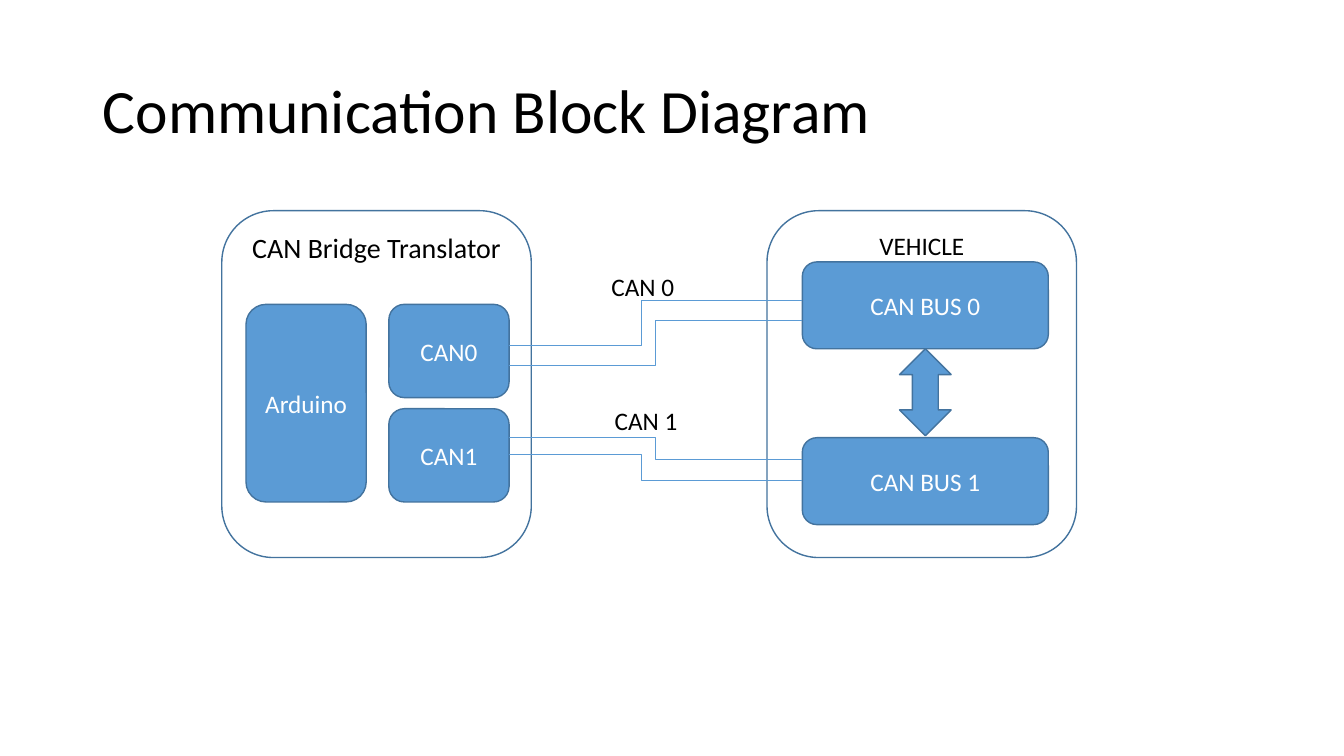
from pptx import Presentation
from pptx.dml.color import RGBColor
from pptx.enum.shapes import MSO_CONNECTOR, MSO_SHAPE
from pptx.enum.text import MSO_ANCHOR, MSO_AUTO_SIZE, PP_ALIGN
from pptx.oxml.ns import qn
from pptx.util import Cm, Pt
from lxml.etree import SubElement

COLORS = {"block": "5B9BD5", "border": "43739E", "ink": "000000", "light": "FFFFFF"}


def color(name):
    return RGBColor.from_string(COLORS[name])


class Diagram:
    font = "Calibri"

    def __init__(self, slide):
        self.shapes = slide.shapes

    def set_text(self, shape, text, size, ink, anchor, align):
        frame = shape.text_frame
        frame.text = text
        frame.vertical_anchor = anchor
        paragraph = frame.paragraphs[0]
        paragraph.alignment = align
        for run in paragraph.runs:
            run.font.name = self.font
            run.font.size = Pt(size)
            run.font.color.rgb = color(ink)

    def label(self, text, left, top, width, height, size=18, wrap=False,
              anchor=MSO_ANCHOR.TOP):
        box = self.shapes.add_textbox(Cm(left), Cm(top), Cm(width), Cm(height))
        self.set_text(box, text, size, "ink", anchor, PP_ALIGN.LEFT)
        box.text_frame.word_wrap = wrap
        box.text_frame.auto_size = MSO_AUTO_SIZE.NONE if wrap else MSO_AUTO_SIZE.SHAPE_TO_FIT_TEXT
        return box

    def outlined(self, kind, left, top, width, height):
        shape = self.shapes.add_shape(kind, Cm(left), Cm(top), Cm(width), Cm(height))
        shape.shadow.inherit = False
        shape.line.color.rgb = color("border")
        shape.line.width = Pt(1)
        return shape

    def filled(self, kind, left, top, width, height):
        shape = self.outlined(kind, left, top, width, height)
        shape.fill.solid()
        shape.fill.fore_color.rgb = color("block")
        return shape

    def block(self, text, left, top, width, height):
        shape = self.filled(MSO_SHAPE.ROUNDED_RECTANGLE, left, top, width, height)
        self.set_text(shape, text, 18, "light", MSO_ANCHOR.MIDDLE, PP_ALIGN.CENTER)

    def group_frame(self, text, left, top, width, height, size):
        shape = self.outlined(MSO_SHAPE.ROUNDED_RECTANGLE, left, top, width, height)
        shape.fill.background()
        self.set_text(shape, text, size, "ink", MSO_ANCHOR.TOP, PP_ALIGN.CENTER)

    def wire(self, start_x, start_y, end_x, end_y, bend):
        wire = self.shapes.add_connector(
            MSO_CONNECTOR.ELBOW, Cm(start_x), Cm(start_y), Cm(end_x), Cm(end_y))
        wire.line.color.rgb = color("block")
        wire.line.width = Pt(0.5)
        properties = wire.element.spPr
        SubElement(properties, qn("a:effectLst"))
        adjustments = properties.find(qn("a:prstGeom")).find(qn("a:avLst"))
        SubElement(adjustments, qn("a:gd"), name="adj1", fmla=f"val {round(bend * 100000)}")


def main():
    presentation = Presentation()
    presentation.slide_width, presentation.slide_height = Cm(33.87), Cm(19.05)
    diagram = Diagram(presentation.slides.add_slide(presentation.slide_layouts[6]))

    # Title
    title = diagram.label("Communication Block Diagram", 2.34, 1.02, 29.21, 3.68,
                          size=44, wrap=True, anchor=MSO_ANCHOR.MIDDLE)
    title.text_frame.paragraphs[0].line_spacing = 0.9

    # Bridge translator with its controller and two ports
    frame_top, frame_width, frame_height = 5.31, 7.8, 8.74
    port_left, port_width = 9.8, 3.03
    diagram.block("Arduino", 6.2, 7.67, port_width, 4.98)
    for port in range(2):
        diagram.block(f"CAN{port}", port_left, 7.67 + 2.63 * port, port_width, 2.35)
    diagram.group_frame("CAN Bridge Translator", 5.59, frame_top, frame_width, frame_height, 20)

    # Vehicle with its two buses
    bus_left, bus_top, bus_width, bus_height, bus_pitch = 20.22, 6.6, 6.2, 2.19, 4.43
    for bus in range(2):
        diagram.block(f"CAN BUS {bus}", bus_left, bus_top + bus_pitch * bus, bus_width, bus_height)
    diagram.group_frame("VEHICLE", 19.33, frame_top, frame_width, frame_height, 18)
    arrow_width = 1.3
    diagram.filled(MSO_SHAPE.UP_DOWN_ARROW, bus_left + (bus_width - arrow_width) / 2,
                   bus_top + bus_height, arrow_width, 2.19)

    # Wire pairs between ports and buses
    near, middle = 0.45, 0.5
    for port_y, bus_y, bend in [(9.22, 8.08, middle), (8.71, 7.57, near),
                                (11.46, 12.11, near), (11.02, 11.58, middle)]:
        diagram.wire(port_left + port_width, port_y, bus_left, bus_y, bend)

    # Wire labels
    for text, left, top in [("CAN 0", 15.16, 6.71), ("CAN 1", 15.24, 10.08)]:
        diagram.label(text, left, top, 2.11, 1.02)

    presentation.save("out.pptx")


if __name__ == "__main__":
    main()
